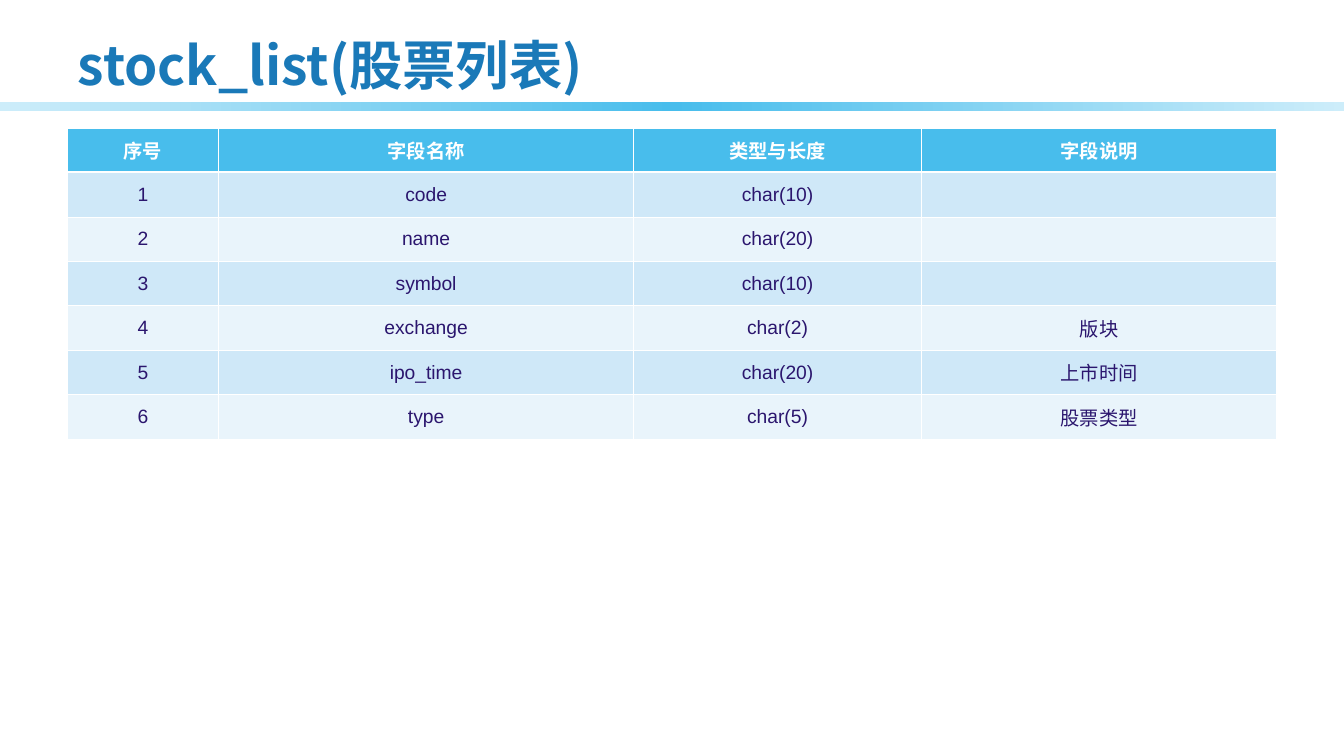
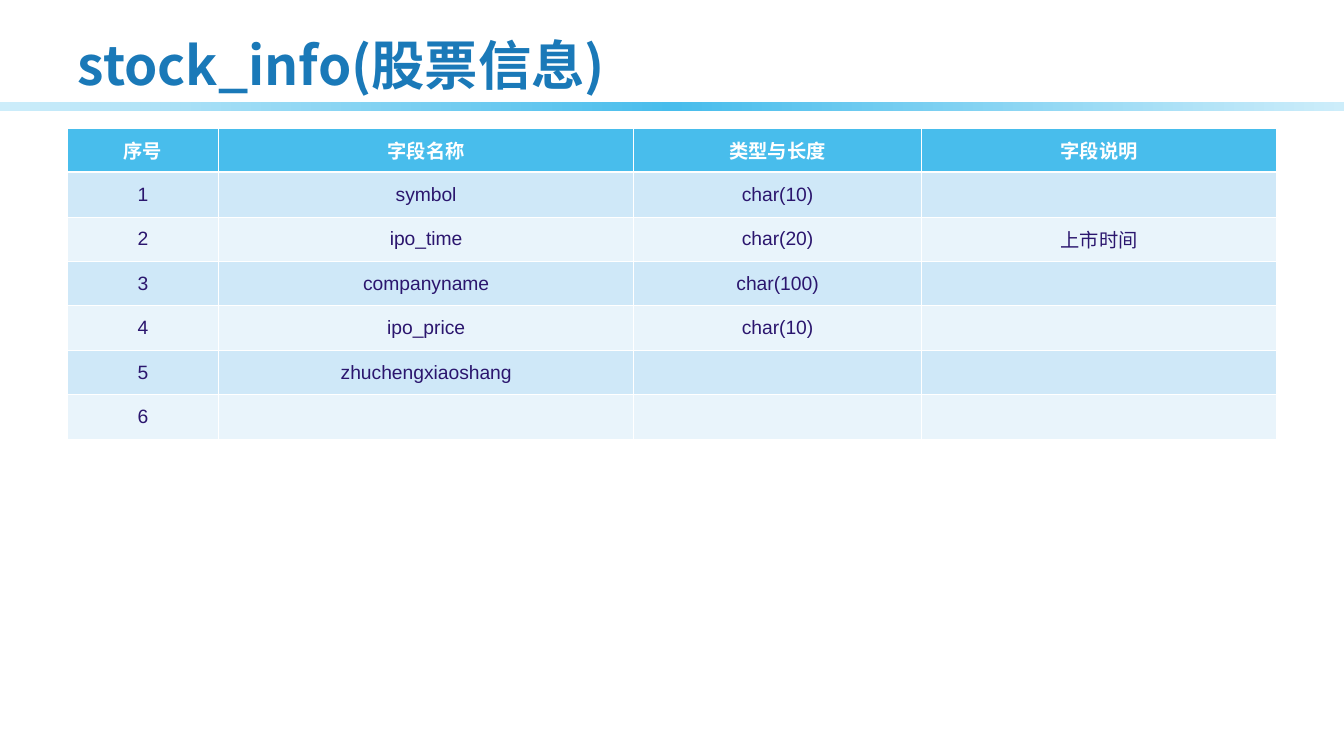
from lxml.etree import SubElement
from pptx import Presentation
from pptx.dml.color import RGBColor
from pptx.enum.shapes import MSO_SHAPE
from pptx.enum.text import MSO_ANCHOR, MSO_AUTO_SIZE, PP_ALIGN
from pptx.oxml.ns import qn
from pptx.util import Inches, Pt

COLORS = {
    "title": "1A79B8",
    "accent": "48BDEC",
    "pale": "CDEDFA",
    "odd": "CFE8F8",
    "even": "E9F4FB",
    "text": "2B166E",
    "white": "FFFFFF",
}
CJK_FONT = "Noto Sans CJK SC"
FORMATS = {
    "title": {"name": CJK_FONT, "size": Pt(36), "bold": True},
    "head": {"name": "Arial", "size": Pt(13), "bold": True},
    "cell": {"name": "Arial", "size": Pt(13), "bold": False},
}
MARGIN = 0.63
COL_WIDTHS = (1.42, 3.89, 2.7, 3.33)
ROW_HEIGHT = 2.92 / 7
HEADERS = ("序号", "字段名称", "类型与长度", "字段说明")
TABLES = {
    "stock_list(股票列表)": [
        ("code", "char(10)", ""),
        ("name", "char(20)", ""),
        ("symbol", "char(10)", ""),
        ("exchange", "char(2)", "版块"),
        ("ipo_time", "char(20)", "上市时间"),
        ("type", "char(5)", "股票类型"),
    ],
    "stock_info(股票信息)": [
        ("symbol", "char(10)", ""),
        ("ipo_time", "char(20)", "上市时间"),
        ("companyname", "char(100)", ""),
        ("ipo_price", "char(10)", ""),
        ("zhuchengxiaoshang", "", ""),
        ("", "", ""),
    ],
}


def rgb(name):
    return RGBColor.from_string(COLORS[name])


class Deck:
    def __init__(self):
        self.prs = Presentation()
        self.prs.slide_width = Inches(12.6)
        self.prs.slide_height = Inches(7.09)
        self.s = None

    def slide(self, title):
        self.s = self.prs.slides.add_slide(self.prs.slide_layouts[5])
        self.band()
        self.title(title)

    def text(self, p, text, style, color, align):
        p.alignment = align
        r = p.add_run()
        r.text = text
        for name, value in FORMATS[style].items():
            setattr(r.font, name, value)
        r.font.color.rgb = rgb(color)
        ea = r.font._element.makeelement(qn("a:ea"), {"typeface": CJK_FONT})
        r.font._element.find(qn("a:latin")).addnext(ea)

    def band(self):
        sp = self.s.shapes.add_shape(
            MSO_SHAPE.RECTANGLE, 0, Inches(0.96), self.prs.slide_width, Inches(0.08))
        sp.shadow.inherit = False
        sp.line.fill.background()
        sp.fill.gradient()
        sp.fill.gradient_angle = 0
        stops = next(sp.element.iter(qn("a:gsLst")))
        for stop in list(stops):
            stops.remove(stop)
        for pos, color in ((0, "pale"), (50, "accent"), (100, "pale")):
            stop = SubElement(stops, qn("a:gs"), pos=str(pos * 1000))
            SubElement(stop, qn("a:srgbClr"), val=COLORS[color])

    def title(self, text):
        sp = self.s.shapes.title
        sp.left, sp.top = Inches(MARGIN), Inches(0.31)
        sp.width, sp.height = Inches(sum(COL_WIDTHS)), Inches(0.58)
        tf = sp.text_frame
        tf.auto_size = MSO_AUTO_SIZE.NONE
        tf.vertical_anchor = MSO_ANCHOR.MIDDLE
        self.text(tf.paragraphs[0], text, "title", "title", PP_ALIGN.LEFT)

    def borders(self, cell, top, bottom):
        tc_pr = cell._tc.get_or_add_tcPr()
        widths = {"L": 0.45, "R": 0.45, "T": top, "B": bottom}
        for i, (side, width) in enumerate(widths.items()):
            ln = SubElement(tc_pr, qn(f"a:ln{side}"), w=str(int(Pt(width))))
            fill = SubElement(ln, qn("a:solidFill"))
            SubElement(fill, qn("a:srgbClr"), val=COLORS["white"])
            tc_pr.insert(i, ln)

    def cell(self, cell, text, row):
        head = row == 0
        fill = "accent" if head else "odd" if row % 2 else "even"
        cell.fill.solid()
        cell.fill.fore_color.rgb = rgb(fill)
        cell.vertical_anchor = MSO_ANCHOR.MIDDLE
        self.borders(cell, 1.47 if row == 1 else 0.45, 1.47 if head else 0.45)
        if text:
            self.text(cell.text_frame.paragraphs[0], text, "head" if head else "cell",
                      "white" if head else "text", PP_ALIGN.CENTER)

    def table(self, fields):
        rows = [HEADERS] + [(str(i), *field) for i, field in enumerate(fields, 1)]
        table = self.s.shapes.add_table(
            len(rows), len(HEADERS), Inches(MARGIN), Inches(1.2),
            Inches(sum(COL_WIDTHS)), Inches(ROW_HEIGHT * len(rows))).table
        for column, width in zip(table.columns, COL_WIDTHS):
            column.width = Inches(width)
        for i, row in enumerate(rows):
            table.rows[i].height = Inches(ROW_HEIGHT)
            for j, text in enumerate(row):
                self.cell(table.cell(i, j), text, i)


def main():
    deck = Deck()
    for title, fields in TABLES.items():
        deck.slide(title)
        deck.table(fields)
    deck.prs.save("out.pptx")


if __name__ == "__main__":
    main()
